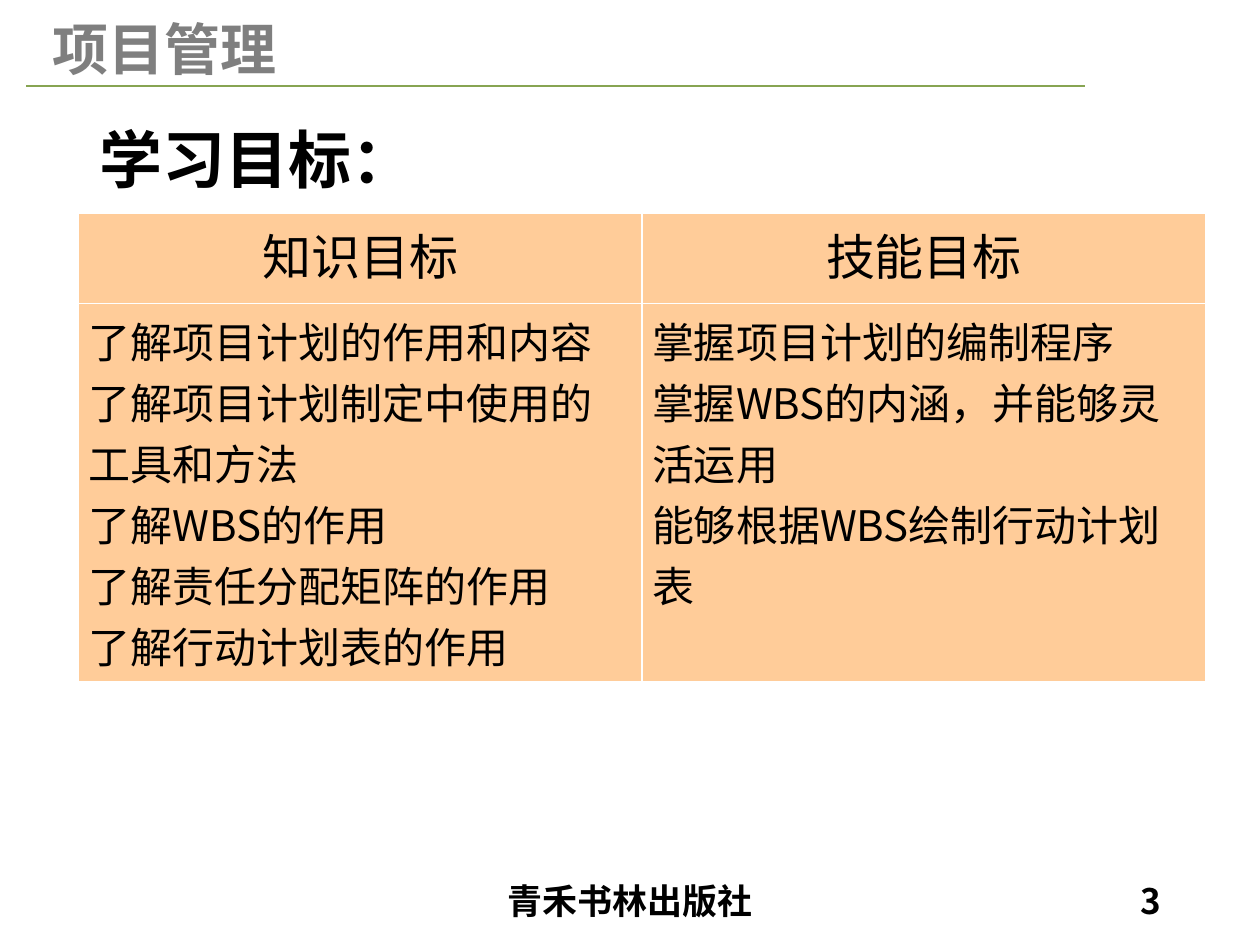
from dataclasses import dataclass

from lxml import etree
from pptx import Presentation
from pptx import util as u
from pptx.dml.color import RGBColor
from pptx.enum import shapes, text
from pptx.oxml.ns import qn

Inches = u.Inches
ALIGN = text.PP_ALIGN


@dataclass(frozen=True)
class Theme:
    font: str = "Noto Sans CJK SC"
    ink: str = "000000"
    grey: str = "7F7F7F"
    green: str = "87A452"
    peach: str = "FFCC99"
    white: str = "FFFFFF"
    title: int = 36
    brand: int = 32
    head: int = 28
    body: int = 24
    foot: int = 20


THEME = Theme()

GOALS = {
    "知识目标": [
        "了解项目计划的作用和内容",
        "了解项目计划制定中使用的工具和方法",
        "了解WBS的作用",
        "了解责任分配矩阵的作用",
        "了解行动计划表的作用",
    ],
    "技能目标": [
        "掌握项目计划的编制程序",
        "掌握WBS的内涵，并能够灵活运用",
        "能够根据WBS绘制行动计划表",
    ],
}


def style(frame, size, color=THEME.ink, bold=False, align=ALIGN.LEFT):
    """Format every run, for Latin and East Asian letters alike."""
    for para in frame.paragraphs:
        para.alignment = align
        for run in para.runs:
            font = run.font
            font.size, font.bold, font.name = u.Pt(size), bold, THEME.font
            font.color.rgb = RGBColor.from_string(color)
            props = run._r.get_or_add_rPr()
            etree.SubElement(props, qn("a:ea"), typeface=THEME.font)


def label(slide, box, words, size, wrap=True, anchor=text.MSO_ANCHOR.MIDDLE, **look):
    frame = slide.shapes.add_textbox(*map(Inches, box)).text_frame
    frame.text = words
    frame.word_wrap = wrap
    frame.vertical_anchor = anchor
    style(frame, size, bold=True, **look)


def border(cell, color, width):
    props = cell._tc.get_or_add_tcPr()
    for spot, side in enumerate(("lnL", "lnR", "lnT", "lnB")):
        line = etree.Element(qn(f"a:{side}"), w=str(u.Pt(width)))
        fill = etree.SubElement(line, qn("a:solidFill"))
        etree.SubElement(fill, qn("a:srgbClr"), val=color)
        props.insert(spot, line)


def add_header(slide, box):
    """Course name above a green rule."""
    left, top, width, height = box
    label(slide, (left + 0.11, top, 2, height), "项目管理", THEME.brand,
          wrap=False, anchor=text.MSO_ANCHOR.TOP, color=THEME.grey)
    y = Inches(top + 0.61)
    rule = slide.shapes.add_connector(
        shapes.MSO_CONNECTOR.STRAIGHT, Inches(left), y, Inches(left + width), y)
    rule.line.color.rgb = RGBColor.from_string(THEME.green)
    rule.line.width = u.Pt(1)
    etree.SubElement(rule._element.spPr, qn("a:effectLst"))


def add_title(slide, box):
    title = slide.shapes.title
    title.left, title.top, title.width, title.height = map(Inches, box)
    frame = title.text_frame
    frame.text = "学习目标："
    frame.vertical_anchor = text.MSO_ANCHOR.MIDDLE
    frame.paragraphs[0].line_spacing = 0.9
    style(frame, THEME.title, bold=True)


def add_goals(slide, box):
    """One column per kind of goal: its name, then its list."""
    table = slide.shapes.add_table(2, len(GOALS), *map(Inches, box)).table
    head = 0.72
    table.rows[0].height = Inches(head)
    table.rows[1].height = Inches(box[3] - head)
    for col, (name, items) in enumerate(GOALS.items()):
        parts = ((name, THEME.head, ALIGN.CENTER),
                 ("\n".join(items), THEME.body, ALIGN.LEFT))
        for row, (words, size, align) in enumerate(parts):
            cell = table.cell(row, col)
            cell.text_frame.text = words
            cell.margin_left = cell.margin_right = Inches(0.08)
            cell.margin_top = cell.margin_bottom = Inches(0.05)
            cell.fill.solid()
            cell.fill.fore_color.rgb = RGBColor.from_string(THEME.peach)
            border(cell, THEME.white, 1)
            style(cell.text_frame, size, align=align)


def add_footer(slide, box):
    """Publisher in the middle, page number at the right."""
    left, top, width, height = box
    label(slide, (left, top, 3.38, height), "青禾书林出版社", THEME.foot,
          align=ALIGN.CENTER)
    label(slide, (left + width - 2.25, top, 2.25, height), "3", THEME.foot,
          align=ALIGN.RIGHT)


def main():
    deck = Presentation()
    deck.slide_width, deck.slide_height = Inches(10), Inches(7.5)
    slide = deck.slides.add_slide(deck.slide_layouts.get_by_name("Title Only"))
    add_header(slide, (0.21, 0.07, 8.4, 0.64))
    add_title(slide, (0.69, 0.91, 8.62, 0.77))
    add_goals(slide, (0.62, 1.69, 8.95, 3.72))
    add_footer(slide, (3.31, 6.95, 6, 0.4))
    deck.save("out.pptx")


if __name__ == "__main__":
    main()
